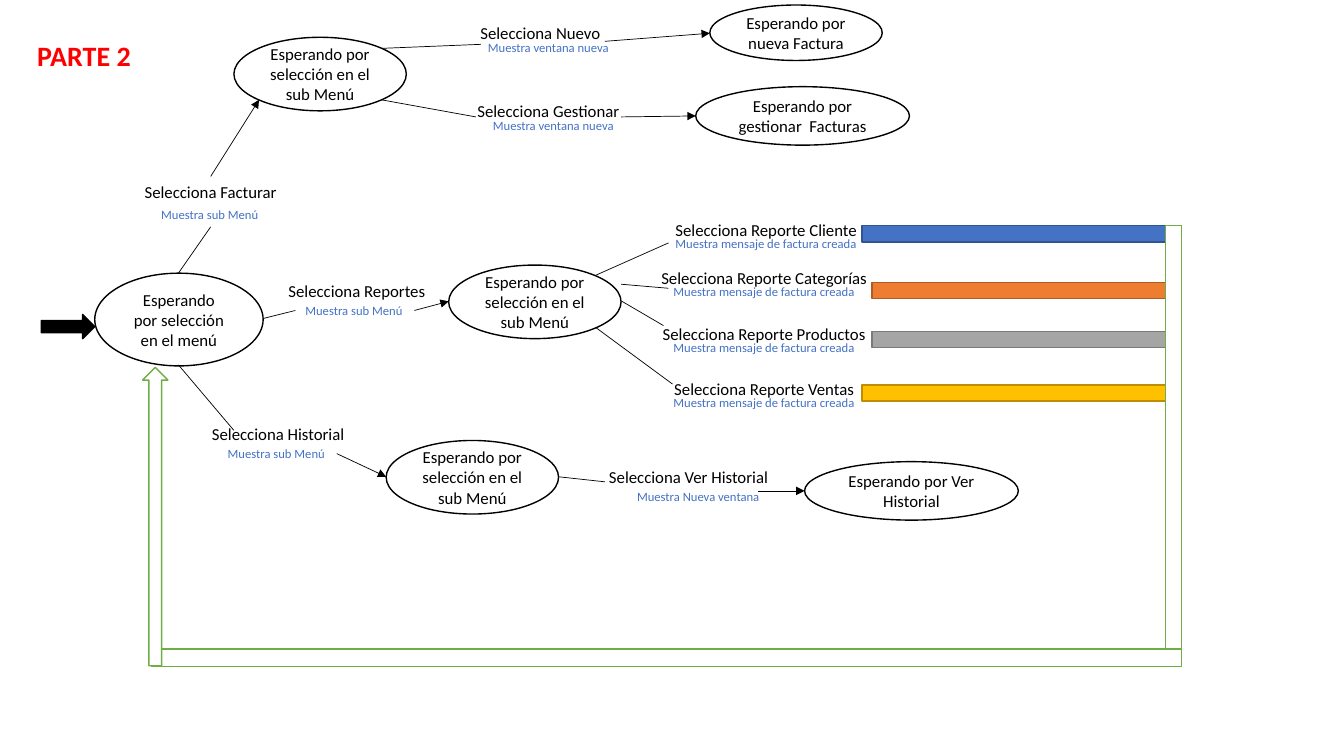
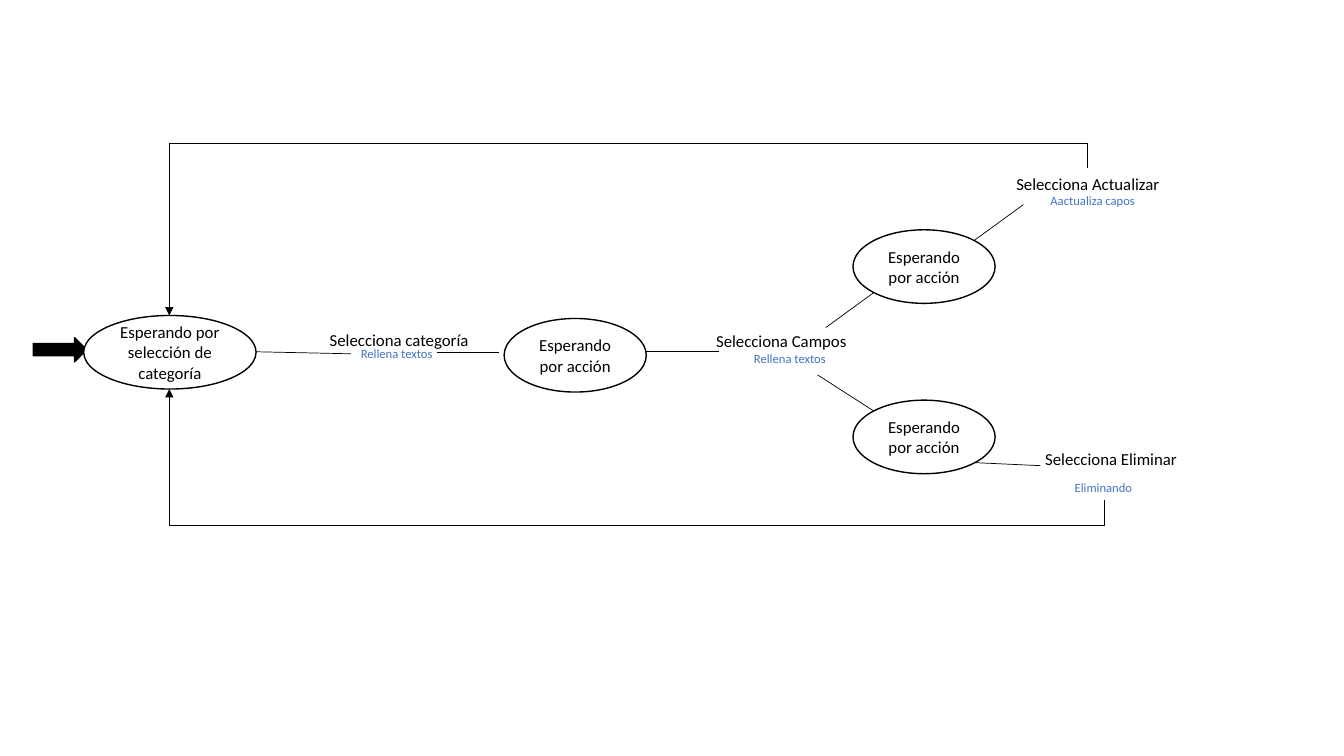
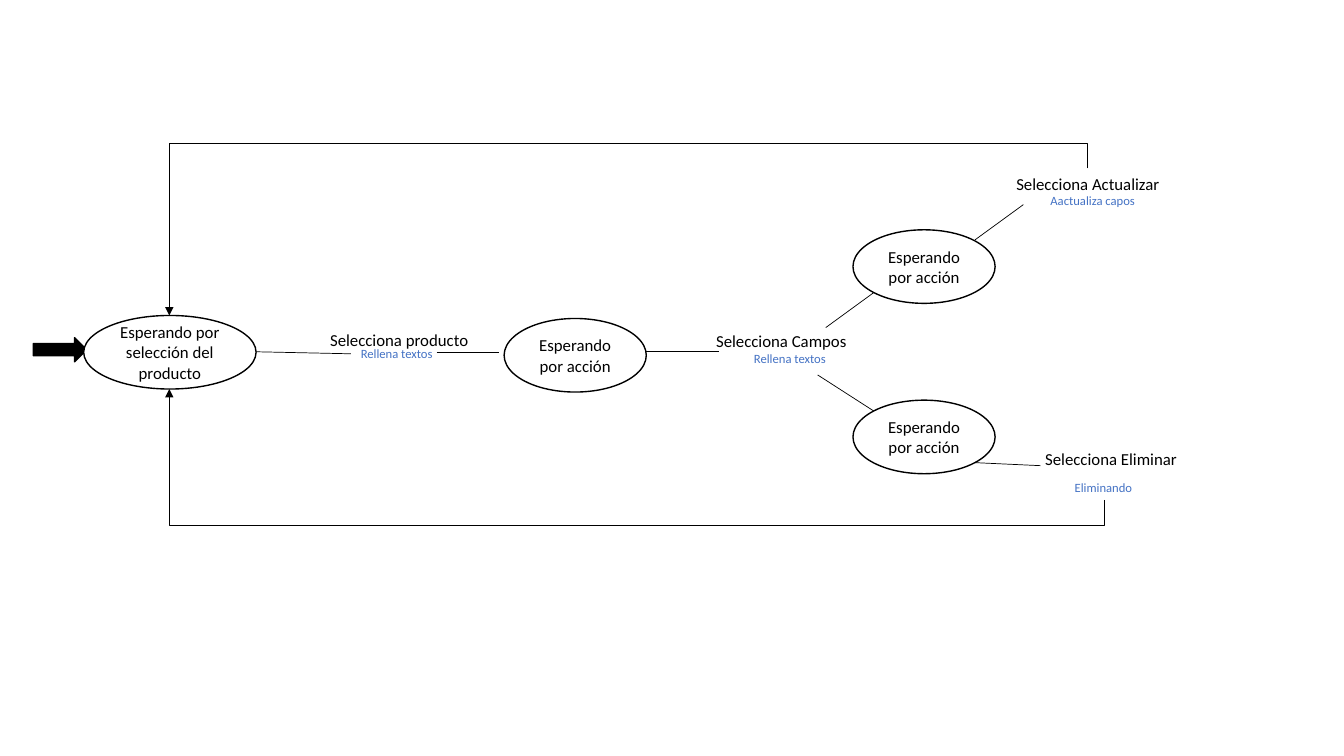
from lxml import etree
from pptx import Presentation
from pptx import util as u
from pptx.dml.color import RGBColor
from pptx.enum import shapes, text
from pptx.oxml.ns import qn

# Shared style
FONT = "Calibri"
BLACK = RGBColor(0x00, 0x00, 0x00)
WHITE = RGBColor(0xFF, 0xFF, 0xFF)
RED = RGBColor(0xFF, 0x00, 0x00)
BLUE = RGBColor(0x44, 0x72, 0xC4)
DARK_BLUE = RGBColor(0x32, 0x54, 0x91)
ORANGE = RGBColor(0xED, 0x7D, 0x31)
DARK_ORANGE = RGBColor(0xAF, 0x5C, 0x24)
GRAY = RGBColor(0xA5, 0xA5, 0xA5)
DARK_GRAY = RGBColor(0x7A, 0x7A, 0x7A)
GOLD = RGBColor(0xFF, 0xC0, 0x00)
DARK_GOLD = RGBColor(0xBD, 0x8E, 0x00)
GREEN = RGBColor(0x70, 0xAD, 0x47)

SHAPE = shapes.MSO_SHAPE
CONNECTOR = shapes.MSO_CONNECTOR
ALIGN = text.PP_ALIGN

STATE_SIZE = (1.71, 0.73)
ACTION_SIZE = (1.41, 0.73)
EVENT_WIDTH = 2.3


def write(shape, content, size, color, align=ALIGN.LEFT, bold=False):
    paragraph = shape.text_frame.paragraphs[0]
    paragraph.text = content
    paragraph.alignment = align
    paragraph.font.name = FONT
    paragraph.font.size = u.Pt(size)
    paragraph.font.bold = bold
    paragraph.font.color.rgb = color


def add_block(slide, kind, box, fill, outline, rotation=0):
    shape = slide.shapes.add_shape(kind, *map(u.Inches, box))
    shape.shadow.inherit = False
    shape.fill.solid()
    shape.fill.fore_color.rgb = fill
    shape.line.color.rgb = outline
    shape.line.width = u.Pt(1)
    shape.rotation = rotation
    return shape


def add_state(slide, content, left, top, size=STATE_SIZE):
    state = add_block(slide, SHAPE.OVAL, (left, top, *size), WHITE, BLACK)
    state.text_frame.word_wrap = True
    state.text_frame.vertical_anchor = text.MSO_ANCHOR.MIDDLE
    write(state, content, 12, BLACK, ALIGN.CENTER)


def add_start_arrow(slide, left, top):
    add_block(slide, SHAPE.RIGHT_ARROW, (left, top, 0.53, 0.24), BLACK, BLACK)


def add_label(slide, box, content, size, color, wrap=True, **style):
    label = slide.shapes.add_textbox(*map(u.Inches, box))
    label.text_frame.word_wrap = wrap
    label.text_frame.auto_size = text.MSO_AUTO_SIZE.SHAPE_TO_FIT_TEXT
    write(label, content, size, color, **style)


def add_transition(slide, event, event_at, effect, effect_box, event_width=EVENT_WIDTH):
    """Event in black with its effect in small blue type."""
    add_label(slide, (*effect_box, 0.25), effect, 9, BLUE, wrap=False)
    add_label(slide, (*event_at, event_width, 0.3), event, 12, BLACK, align=ALIGN.CENTER)


def style_connector(connector, arrow):
    connector.line.color.rgb = BLACK
    connector.line.width = u.Pt(0.5)
    if arrow:
        line = connector.line._get_or_add_ln()
        etree.SubElement(line, qn("a:tailEnd"), type="triangle")
    etree.SubElement(connector._element.spPr, qn("a:effectLst"))


def add_line(slide, start, end, arrow=False):
    ends = map(u.Inches, (*start, *end))
    style_connector(slide.shapes.add_connector(CONNECTOR.STRAIGHT, *ends), arrow)


def add_return(slide, start, end, rail):
    """Elbow arrow that runs along the horizontal at height rail."""
    turn = -1 if rail < start[1] else 1
    center_x, center_y = (start[0] + end[0]) / 2, (start[1] + end[1]) / 2
    # Ends before the quarter turn about the centre
    ends = []
    for x, y in (start, end):
        ends += [center_x + turn * (y - center_y), center_y - turn * (x - center_x)]
    connector = slide.shapes.add_connector(CONNECTOR.ELBOW, *map(u.Inches, ends))
    connector.rotation = 90 * turn % 360
    bend = round((rail - start[1]) / (end[1] - start[1]) * 100000)
    guides = connector._element.spPr.find(qn("a:prstGeom")).get_or_add_avLst()
    etree.SubElement(guides, qn("a:gd"), name="adj1", fmla=f"val {bend}")
    style_connector(connector, True)


def build_menu(slide):
    add_label(slide, (0.27, 0.33, 1.34, 0.44), "PARTE 2", 20, RED, bold=True)

    # States
    add_start_arrow(slide, 0.41, 3.12)
    add_state(slide, "Esperando por selección en el menú", 0.94, 2.71, (1.67, 0.92))
    for left, top in ((2.32, 0.37), (4.45, 2.63), (3.83, 4.37)):
        add_state(slide, "Esperando por selección en el sub Menú", left, top)
    add_state(slide, "Esperando por nueva Factura", 7.04, 0.05, (1.71, 0.55))
    add_state(slide, "Esperando por gestionar  Facturas", 6.9, 0.86, (2.12, 0.58))
    add_state(slide, "Esperando por Ver Historial", 7.98, 4.58, (2.12, 0.58))

    # Transitions
    submenu, window = "Muestra sub Menú", "Muestra ventana nueva"
    add_transition(slide, "Selecciona Facturar", (0.94, 1.75), submenu, (1.5, 2, 1.18))
    add_transition(slide, "Selecciona Reportes", (2.39, 2.74), submenu, (2.93, 2.96, 1.18))
    add_transition(slide, "Selecciona Historial", (1.61, 4.15), submenu, (2.16, 4.37, 1.18))
    add_transition(slide, "Selecciona Nuevo", (4.21, 0.18), window, (4.74, 0.35, 1.42))
    add_transition(slide, "Selecciona Gestionar", (4.21, 0.95), window, (4.79, 1.12, 1.42), 2.46)
    add_transition(slide, "Selecciona Ver Historial", (5.68, 4.58),
                   "Muestra Nueva ventana", (6.22, 4.8, 1.46))

    # Reports, each with the bar that leads back to the menu
    bars_right = 11.72
    for name, left, top, bar_left, bar_top, fill, outline in (
        ("Cliente", 6.45, 2.13, 8.55, 2.24, BLUE, DARK_BLUE),
        ("Categorías", 6.43, 2.61, 8.65, 2.8, ORANGE, DARK_ORANGE),
        ("Productos", 6.43, 3.16, 8.65, 3.29, GRAY, DARK_GRAY),
        ("Ventas", 6.43, 3.71, 8.55, 3.82, GOLD, DARK_GOLD),
    ):
        add_transition(slide, f"Selecciona Reporte {name}", (left, top),
                       "Muestra mensaje de factura creada", (left + 0.15, top + 0.16, 2.05))
        bar = (bar_left, bar_top, bars_right - bar_left, 0.16)
        add_block(slide, SHAPE.RECTANGLE, bar, fill, outline)

    # Lines
    for start, end in (
        ((1.77, 2.71), (2.09, 2.25)),
        ((3.78, 0.48), (4.77, 0.44)),
        ((3.78, 0.99), (4.72, 1.16)),
        ((2.61, 3.16), (2.93, 3.08)),
        ((5.91, 2.73), (6.63, 2.41)),
        ((6.16, 2.82), (6.63, 2.86)),
        ((6.17, 2.99), (6.58, 3.23)),
        ((5.91, 3.25), (6.67, 3.81)),
        ((1.77, 3.62), (2.32, 4.27)),
        ((5.54, 4.73), (6, 4.78)),
    ):
        add_line(slide, start, end)

    # Arrows
    for start, end in (
        ((2.09, 1.75), (2.57, 0.99)),
        ((6, 0.41), (7.04, 0.33)),
        ((6.16, 1.16), (6.9, 1.15)),
        ((4.11, 3.08), (4.45, 2.99)),
        ((3.34, 4.5), (3.83, 4.73)),
        ((7.52, 4.87), (7.98, 4.87)),
    ):
        add_line(slide, start, end, arrow=True)

    # Green way back to the menu
    for kind, box, rotation in (
        (SHAPE.RECTANGLE, (9.46, 4.34, 4.36, 0.16), 90),
        (SHAPE.RECTANGLE, (1.5, 6.44, 10.22, 0.17), 0),
        (SHAPE.RIGHT_ARROW, (0.06, 5, 2.96, 0.25), 270),
    ):
        add_block(slide, kind, box, WHITE, GREEN, rotation)


def build_editor(slide, state, event):
    # States
    add_start_arrow(slide, 0.33, 3.35)
    add_state(slide, state, 0.83, 3.13)
    for left, top in ((5, 3.16), (8.46, 2.28), (8.46, 3.97)):
        add_state(slide, "Esperando por acción", left, top, ACTION_SIZE)

    # Transitions
    fill_in = "Rellena textos"
    add_transition(slide, event, (2.81, 3.22), fill_in, (3.48, 3.38, 0.93))
    add_transition(slide, "Selecciona Campos", (6.6, 3.23), fill_in, (7.38, 3.43, 0.93))
    add_transition(slide, "Selecciona Actualizar", (9.64, 1.67),
                   "Aactualiza capos", (10.32, 1.86, 1.05))
    add_transition(slide, "Selecciona Eliminar", (9.87, 4.4),
                   "Eliminando", (10.56, 4.71, 0.78))

    # Lines
    for start, end in (
        ((2.54, 3.49), (3.48, 3.51)),
        ((4.33, 3.5), (4.95, 3.5)),
        ((6.41, 3.49), (7.13, 3.49)),
        ((8.19, 3.25), (8.67, 2.9)),
        ((8.11, 3.72), (8.67, 4.08)),
        ((9.67, 2.38), (10.15, 2.03)),
        ((9.67, 4.59), (10.32, 4.62)),
    ):
        add_line(slide, start, end)

    # Ways back to the first state
    add_return(slide, (10.79, 1.67), (1.68, 3.13), rail=1.42)
    add_return(slide, (10.95, 4.96), (1.68, 3.86), rail=5.21)


def main():
    presentation = Presentation()
    presentation.slide_width = u.Inches(13.33)
    presentation.slide_height = u.Inches(7.5)
    blank = presentation.slide_layouts[6]

    build_menu(presentation.slides.add_slide(blank))
    for state, event in (
        ("Esperando por selección de categoría", "Selecciona categoría"),
        ("Esperando por selección del producto", "Selecciona producto"),
    ):
        build_editor(presentation.slides.add_slide(blank), state, event)
    presentation.save("out.pptx")


if __name__ == "__main__":
    main()
